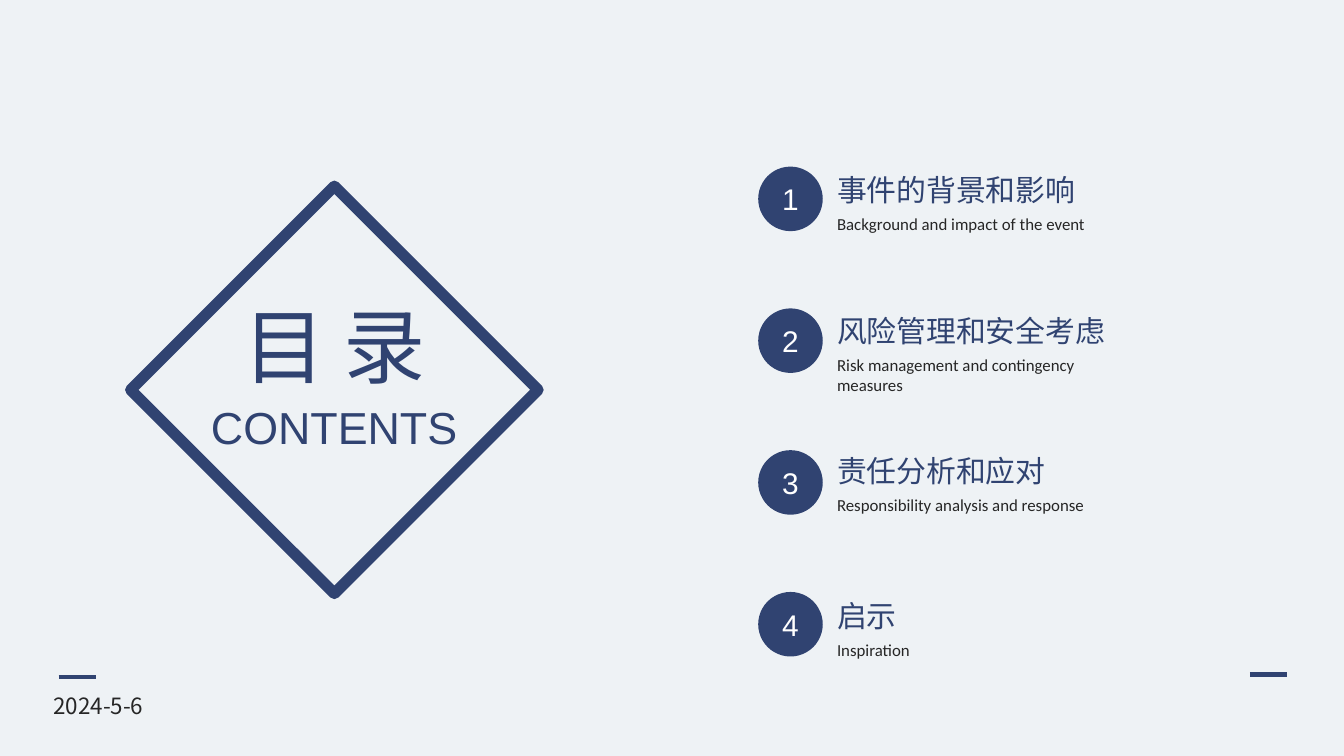
from lxml import etree
from pptx import Presentation
from pptx.dml.color import RGBColor
from pptx.enum.shapes import MSO_CONNECTOR, MSO_SHAPE
from pptx.enum.text import MSO_ANCHOR, MSO_AUTO_SIZE, PP_ALIGN
from pptx.oxml.ns import qn
from pptx.util import Cm, Pt

STRAIGHT = MSO_CONNECTOR.STRAIGHT
OVAL, DIAMOND = MSO_SHAPE.OVAL, MSO_SHAPE.DIAMOND
TOP, MIDDLE = MSO_ANCHOR.TOP, MSO_ANCHOR.MIDDLE
LEFT, CENTER = PP_ALIGN.LEFT, PP_ALIGN.CENTER
NO_AUTOFIT = MSO_AUTO_SIZE.NONE

COLORS = {
    "background": "EEF2F5",
    "navy": "304371",
    "text": "262626",
    "white": "FFFFFF",
}
CHINESE_FONT = "Noto Sans CJK SC"

# Heading, its top and width, caption, its width and whether it wraps (cm)
CHAPTERS = [
    ("事件的背景和影响", 3.12, 5.08, "Background and impact of the event", 5.21, False),
    ("风险管理和安全考虑", 5.79, 5.64, "Risk management and contingency measures", 6.22, True),
    ("责任分析和应对", 8.43, 4.5, "Responsibility analysis and response", 5.16, False),
    ("启示", 11.18, 1.63, "Inspiration", 1.88, False),
]
BADGE_LEFT, BADGE_TOP, BADGE_SIZE, BADGE_PITCH = 14.33, 3.15, 1.22, 2.68
CHAPTER_LEFT, CAPTION_OFFSET = 15.57, 0.79


def color(name):
    return RGBColor.from_string(COLORS[name])


def write_text(shape, text, size, font_name, color_name, align=LEFT, anchor=TOP, wrap=False):
    frame = shape.text_frame
    frame.text = text
    frame.word_wrap = wrap
    frame.auto_size = NO_AUTOFIT
    frame.vertical_anchor = anchor
    paragraph = frame.paragraphs[0]
    paragraph.alignment = align
    run = paragraph.runs[0]
    run.font.size = Pt(size)
    run.font.name = font_name
    run.font.color.rgb = color(color_name)
    east_asian = etree.SubElement(run.font._element, qn("a:ea"))
    east_asian.set("typeface", font_name)


def add_text(slide, box, *text_options, **text_format):
    shape = slide.shapes.add_textbox(*map(Cm, box))
    write_text(shape, *text_options, **text_format)


def add_title(slide, box, *text_options, **text_format):
    title = slide.shapes.title
    title.left, title.top, title.width, title.height = map(Cm, box)
    write_text(title, *text_options, **text_format)


def add_dash(slide, left, top):
    """Draw a short horizontal accent line near the slide's foot."""
    line = slide.shapes.add_connector(STRAIGHT, Cm(left), Cm(top), Cm(left + 0.7), Cm(top))
    line.line.color.rgb = color("navy")
    line.line.width = Pt(2.25)
    etree.SubElement(line._element.spPr, qn("a:effectLst"))


def add_badge(slide, number, top):
    badge = slide.shapes.add_shape(
        OVAL, Cm(BADGE_LEFT), Cm(top), Cm(BADGE_SIZE), Cm(BADGE_SIZE))
    badge.shadow.inherit = False
    badge.fill.solid()
    badge.fill.fore_color.rgb = color("navy")
    badge.line.fill.background()
    write_text(badge, str(number), 16, "Arial", "white", align=CENTER, anchor=MIDDLE)


def add_diamond_frame(slide):
    diamond = slide.shapes.add_shape(DIAMOND, Cm(2.47), Cm(3.52), Cm(7.7), Cm(7.7))
    diamond.shadow.inherit = False
    diamond.fill.background()
    diamond.line.color.rgb = color("navy")
    diamond.line.width = Pt(6)


def add_chapters(slide):
    for index, (heading, top, width, caption, caption_width, wrap) in enumerate(CHAPTERS):
        add_badge(slide, index + 1, BADGE_TOP + index * BADGE_PITCH)
        add_text(slide, (CHAPTER_LEFT, top, width, 0.94),
                 heading, 16, CHINESE_FONT, "navy")
        add_text(slide, (CHAPTER_LEFT, top + CAPTION_OFFSET, caption_width, 0.64),
                 caption, 9, "Calibri", "text", wrap=wrap)


def main():
    presentation = Presentation()
    presentation.slide_width = Cm(25.4)
    presentation.slide_height = Cm(14.29)
    slide = presentation.slides.add_slide(presentation.slide_layouts.get_by_name("Title Only"))
    slide.background.fill.solid()
    slide.background.fill.fore_color.rgb = color("background")

    add_dash(slide, 23.62, 12.75)
    add_dash(slide, 1.11, 12.8)
    add_title(slide, (4.27, 5.46, 4.11, 2.13), "目 录", 44, CHINESE_FONT, "navy", align=CENTER)
    add_chapters(slide)
    add_diamond_frame(slide)
    add_text(slide, (3.71, 7.44, 5.21, 1.27), "CONTENTS", 24, "Arial", "navy", align=CENTER)
    add_text(slide, (0.76, 12.95, 2.39, 0.76), "2024-5-6", 12, CHINESE_FONT, "text")

    presentation.save("out.pptx")


if __name__ == "__main__":
    main()
